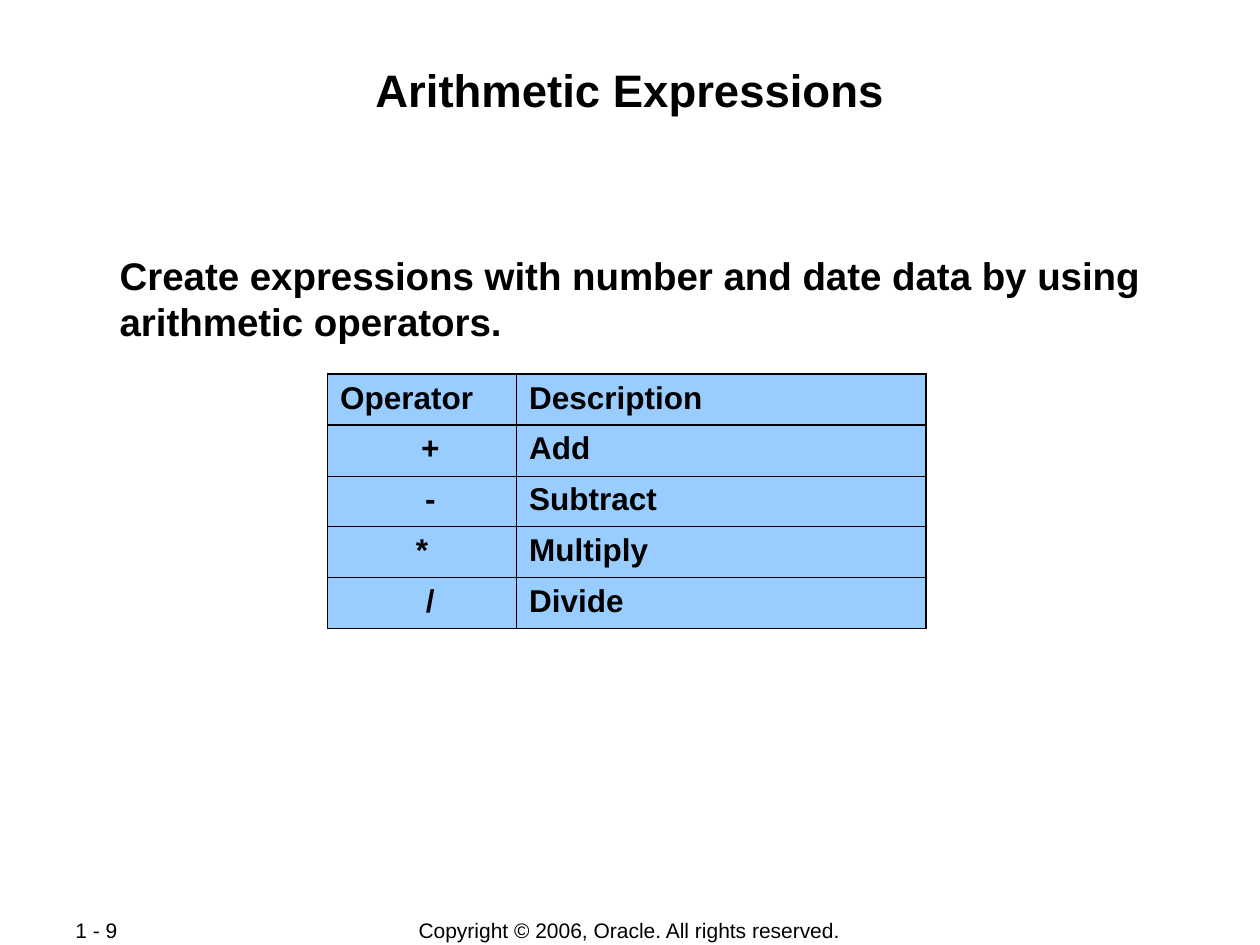
from pptx import Presentation
from pptx.dml.color import RGBColor
from pptx.enum.text import MSO_ANCHOR as Anchor, PP_ALIGN as Align
from pptx.oxml.ns import qn
from pptx.util import Pt
from lxml.etree import SubElement

BLACK = RGBColor(0x00, 0x00, 0x00)
LIGHT_BLUE = RGBColor(0x99, 0xCC, 0xFF)
FONT = "Arial"
THICK, THIN = 1.08, 0.45

OPERATORS = [
    ("Operator", "Description"),
    ("+", "Add"),
    ("-", "Subtract"),
    ("*", "Multiply"),
    ("/", "Divide"),
]
COLUMN_WIDTHS = (108, 234)
ROW_HEIGHT = 29.1


def style_paragraph(paragraph, size, bold=True, align=Align.LEFT):
    paragraph.alignment = align
    font = paragraph.font
    font.name, font.size, font.bold = FONT, Pt(size), bold
    font.color.rgb = BLACK


def add_text(slide, text, box, size, bold=True, align=Align.LEFT,
             anchor=Anchor.TOP, insets=(0.72, 0.72)):
    shape = slide.shapes.add_textbox(*map(Pt, box))
    frame = shape.text_frame
    frame.word_wrap = True
    frame.vertical_anchor = anchor
    frame.margin_left = frame.margin_right = Pt(insets[0])
    frame.margin_top = frame.margin_bottom = Pt(insets[1])
    paragraph = frame.paragraphs[0]
    paragraph.text = text
    style_paragraph(paragraph, size, bold, align)


def add_footer(slide, text, box, align):
    add_text(slide, text, box, 12, False, align, Anchor.MIDDLE, (7.2, 3.6))


def set_borders(cell, widths):
    properties = cell._tc.get_or_add_tcPr()
    for side, width in zip("LRTB", widths):
        line = SubElement(properties, qn(f"a:ln{side}"), w=str(Pt(width)))
        fill = SubElement(line, qn("a:solidFill"))
        SubElement(fill, qn("a:srgbClr"), val=str(BLACK))


def add_operator_table(slide, left, top):
    last_row, last_column = len(OPERATORS) - 1, len(COLUMN_WIDTHS) - 1
    table = slide.shapes.add_table(
        last_row + 1, last_column + 1, Pt(left), Pt(top),
        Pt(sum(COLUMN_WIDTHS)), Pt(ROW_HEIGHT * len(OPERATORS))).table
    table.first_row = table.horz_banding = False
    for column, width in zip(table.columns, COLUMN_WIDTHS):
        column.width = Pt(width)

    for r, texts in enumerate(OPERATORS):
        table.rows[r].height = Pt(ROW_HEIGHT)
        for c, text in enumerate(texts):
            cell = table.cell(r, c)
            # Thick frame and header rule, thin inner lines
            set_borders(cell, (
                THICK if c == 0 else THIN,
                THICK if c == last_column else THIN,
                THICK if r <= 1 else THIN,
                THICK if r in (0, last_row) else THIN))
            cell.fill.solid()
            cell.fill.fore_color.rgb = LIGHT_BLUE
            paragraph = cell.text_frame.paragraphs[0]
            paragraph.text = text
            is_symbol = r > 0 and c == 0
            # All symbols but the asterisk are indented one level
            if is_symbol and text != "*":
                paragraph.level = 1
                indent = paragraph._p.get_or_add_pPr()
                indent.set("marL", str(Pt(9.36)))
                indent.set("indent", "0")
            style_paragraph(paragraph, 18,
                            align=Align.CENTER if is_symbol else Align.LEFT)


def main():
    presentation = Presentation()
    presentation.slide_width, presentation.slide_height = Pt(720), Pt(540)
    slide = presentation.slides.add_slide(presentation.slide_layouts[6])

    # Footer
    add_footer(slide, "Copyright © 2006, Oracle. All rights reserved.",
               (198, 524.2, 323.3, 15.1), Align.CENTER)
    add_footer(slide, "1 - 9", (36, 524.2, 76.3, 14.4), Align.JUSTIFY)

    # Title and body
    add_text(slide, "Arithmetic Expressions", (48.2, 34.6, 623.5, 69.1), 26,
             align=Align.CENTER)
    add_text(slide, "Create expressions with number and date data by using "
             "arithmetic operators.", (67.7, 143.3, 623.5, 137.5), 22)

    # Operators
    add_operator_table(slide, 187.2, 213.8)

    presentation.save("out.pptx")


if __name__ == "__main__":
    main()
